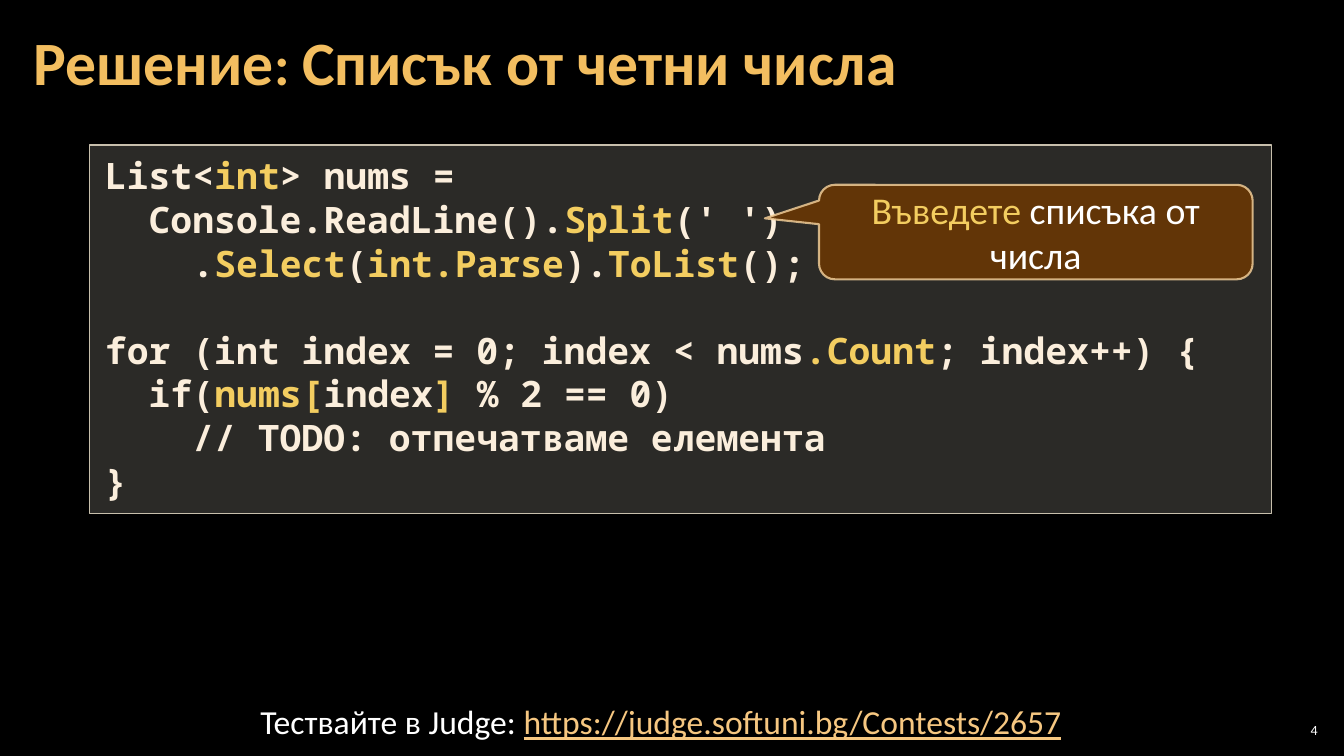
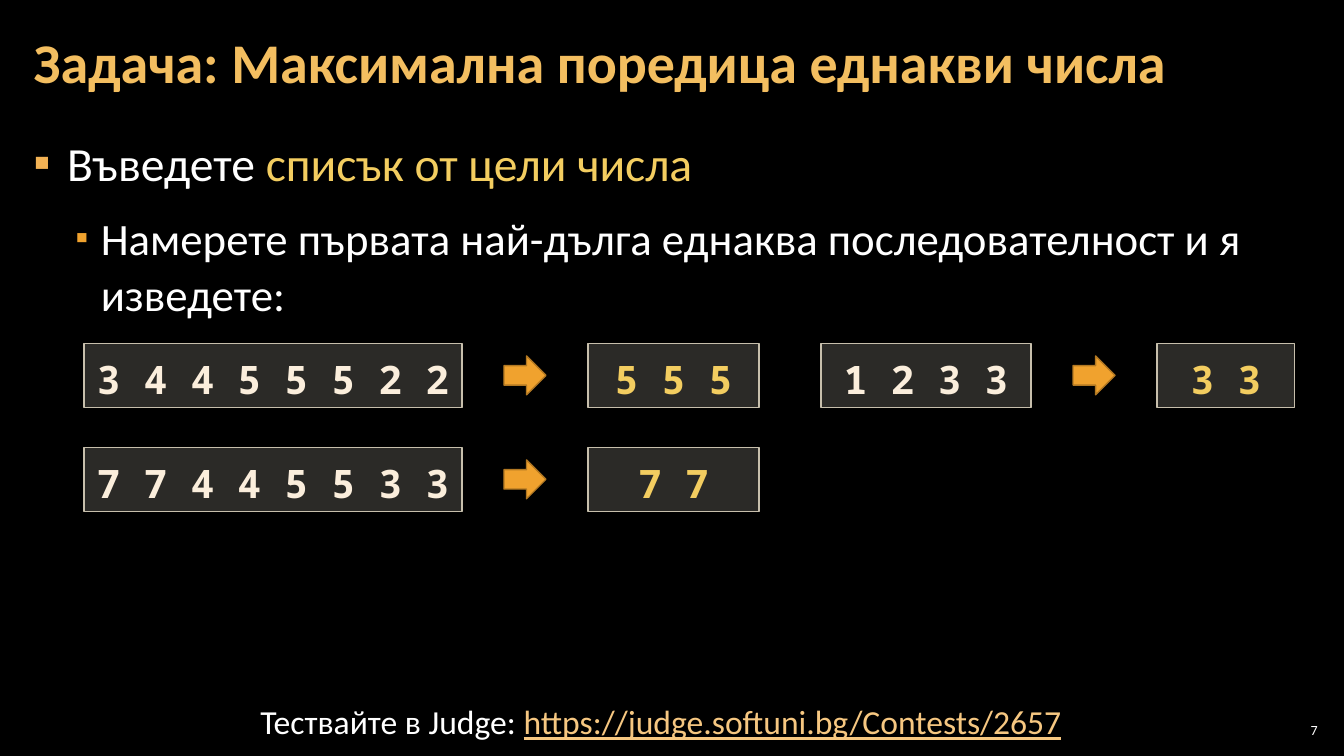
from dataclasses import dataclass
from typing import NamedTuple, Optional

from lxml.etree import SubElement
from pptx import Presentation
from pptx.dml.color import RGBColor
from pptx.enum.shapes import MSO_SHAPE
from pptx.enum.text import MSO_ANCHOR, MSO_AUTO_SIZE, PP_ALIGN
from pptx.oxml.ns import qn
from pptx.util import Emu, Pt

PX = 9525  # 96 px to the inch


@dataclass(frozen=True)
class Theme:
    background: str = "000000"
    title: str = "F3BE60"
    text: str = "FFFFFF"
    accent: str = "F3CD60"
    code: str = "FBEEDC"
    panel: str = "D9D5C7"
    panel_line: str = "C7BFAC"
    callout: str = "663606"
    callout_line: str = "F8D49E"
    arrow: str = "F0A22E"
    arrow_line: str = "B27822"
    bullet: str = "F2B254"
    link: str = "F6C781"
    font: str = "Calibri"
    code_font: str = "Noto Sans Mono"
    title_size: int = 40
    large_title_size: int = 44
    code_size: int = 26
    code_line: int = 31
    value_size: int = 28
    callout_size: int = 27
    bullet_size: int = 34
    sub_bullet_size: int = 32
    footer_size: int = 24
    number_size: int = 10


THEME = Theme()


class Box(NamedTuple):
    left: int
    top: int
    width: int
    height: int

    def emu(self) -> list[Emu]:
        return [Emu(value * PX) for value in self]


class Run(NamedTuple):
    text: str
    color: str
    size: int
    font: str = THEME.font
    bold: bool = False
    underline: bool = False


class Bullet(NamedTuple):
    runs: list[Run]
    indent: int
    hanging: int
    color: str
    percent: int


class Example(NamedTuple):
    left: int
    top: int
    input_width: int
    output_width: int
    numbers: str
    answer: str


SLIDE_WIDTH, SLIDE_HEIGHT = 1280, 720
TITLE_INSETS = (12, 4)
VALUE_HEIGHT = 61
ARROW_WIDTH, ARROW_HEIGHT = 40, 37
GAP = 40
ROW_TOP, ROW_PITCH = 327, 99

# Pieces of a line alternate between plain and accent colour.
CODE_LINES = [
    ("List<", "int", "> nums ="),
    ("  Console.ReadLine().", "Split", "(' ')"),
    ("    .", "Select", "(", "int.Parse", ").", "ToList", "();"),
    ("for (int index = 0; index < nums", ".Count", "; index++) {"),
    ("  if(", "nums[", "index", "]", " % 2 == 0)"),
    ("    // TODO: отпечатваме елемента",),
    ("}",),
]
LINE_AFTER_GAP = 3

EXAMPLES = [
    Example(80, ROW_TOP, 360, 163, "3 4 4 5 5 5 2 2", "5 5 5"),
    Example(80, ROW_TOP + ROW_PITCH, 360, 163, "7 7 4 4 5 5 3 3", "7 7"),
    Example(782, ROW_TOP, 200, 131, "1 2 3 3", "3 3"),
]


def alternate(pieces, plain: str, size: int, font: str = THEME.font, bold: bool = False) -> list[Run]:
    """Colour every second piece with the accent."""
    return [Run(piece, (plain, THEME.accent)[index % 2], size, font, bold)
            for index, piece in enumerate(pieces)]


def add_runs(paragraph, runs: list[Run]) -> None:
    for item in runs:
        run = paragraph.add_run()
        run.text = item.text
        run.font.name = item.font
        run.font.size = Pt(item.size)
        run.font.bold = item.bold
        run.font.underline = item.underline
        run.font.color.rgb = RGBColor.from_string(item.color)


def set_frame(shape, insets=(10, 5), anchor=MSO_ANCHOR.TOP, grow: bool = False):
    frame = shape.text_frame
    frame.word_wrap = True
    frame.auto_size = MSO_AUTO_SIZE.SHAPE_TO_FIT_TEXT if grow else MSO_AUTO_SIZE.NONE
    frame.vertical_anchor = anchor
    frame.margin_left = frame.margin_right = Emu(insets[0] * PX)
    frame.margin_top = frame.margin_bottom = Emu(insets[1] * PX)
    return frame


def set_color(fill, color: str, opacity: int = 100) -> None:
    fill.solid()
    fill.fore_color.rgb = RGBColor.from_string(color)
    if opacity < 100:
        element = fill._xPr.find(qn("a:solidFill"))[0]
        SubElement(element, qn("a:alpha"), val=str(opacity * 1000))


def add_figure(slide, kind, box: Box, fill: str, line: str, opacity: int = 100,
               line_width: float = 1, line_opacity: int = 100):
    shape = slide.shapes.add_shape(kind, *box.emu())
    shape.shadow.inherit = False
    set_color(shape.fill, fill, opacity)
    set_color(shape.line.fill, line, line_opacity)
    shape.line.width = Pt(line_width)
    return shape


def add_panel(slide, box: Box):
    return add_figure(slide, MSO_SHAPE.RECTANGLE, box, THEME.panel, THEME.panel_line, opacity=20)


def add_text(slide, box: Box, runs: list[Run], align=PP_ALIGN.LEFT, **frame_options) -> None:
    frame = set_frame(slide.shapes.add_textbox(*box.emu()), **frame_options)
    frame.paragraphs[0].alignment = align
    add_runs(frame.paragraphs[0], runs)


def add_base_slide(presentation, title: list[tuple[str, int]], title_width: int, number: int):
    """Add a slide with its title, page number and judge link."""
    slide = presentation.slides.add_slide(presentation.slide_layouts[5])
    shape = slide.shapes.title
    shape.left, shape.top, shape.width, shape.height = Box(20, 4, title_width, 116).emu()
    paragraph = set_frame(shape, TITLE_INSETS, MSO_ANCHOR.MIDDLE).paragraphs[0]
    paragraph.alignment = PP_ALIGN.LEFT
    paragraph.line_spacing = 0.9
    add_runs(paragraph, [Run(text, THEME.title, size, bold=True) for text, size in title])
    add_text(slide, Box(1214, 685, 45, 20), [Run(str(number), THEME.text, THEME.number_size)],
             PP_ALIGN.RIGHT, insets=(4, 4), anchor=MSO_ANCHOR.MIDDLE)
    add_text(slide, Box(238, 663, 803, 48), [
        Run("Тествайте в Judge: ", THEME.text, THEME.footer_size),
        Run("https://judge.softuni.bg/Contests/2657", THEME.link, THEME.footer_size, underline=True),
    ])
    return slide


def next_paragraph(frame, index: int):
    return frame.add_paragraph() if index else frame.paragraphs[0]


def add_code(slide, box: Box) -> None:
    frame = set_frame(add_panel(slide, box), (15, 8), grow=True)
    for index, pieces in enumerate(CODE_LINES):
        paragraph = next_paragraph(frame, index)
        paragraph.alignment = PP_ALIGN.LEFT
        if index == LINE_AFTER_GAP:
            paragraph.space_before = Pt(THEME.code_line)
        add_runs(paragraph, alternate(pieces, THEME.code, THEME.code_size, THEME.code_font, True))


def add_callout(slide, box: Box, pieces: tuple[str, ...]) -> None:
    shape = add_figure(slide, MSO_SHAPE.ROUNDED_RECTANGULAR_CALLOUT, box, THEME.callout,
                       THEME.callout_line, opacity=95, line_width=1.5, line_opacity=80)
    for index, value in enumerate((-0.625, -0.145, 0.167)):
        shape.adjustments[index] = round(value, 3)
    paragraph = set_frame(shape, anchor=MSO_ANCHOR.MIDDLE).paragraphs[0]
    paragraph.alignment = PP_ALIGN.CENTER
    add_runs(paragraph, alternate(pieces, THEME.text, THEME.callout_size))


def add_bullets(slide, box: Box, bullets: list[Bullet]) -> None:
    frame = set_frame(slide.shapes.add_textbox(*box.emu()), TITLE_INSETS)
    for index, bullet in enumerate(bullets):
        paragraph = next_paragraph(frame, index)
        paragraph.level = index
        paragraph.line_spacing = 1.05
        paragraph.space_after = Pt(6)
        if index:
            paragraph.space_before = Pt(6)
        properties = paragraph._p.get_or_add_pPr()
        properties.set("marL", str(bullet.indent * PX))
        properties.set("indent", str(-bullet.hanging * PX))
        color = SubElement(properties, qn("a:buClr"))
        SubElement(color, qn("a:srgbClr"), val=bullet.color)
        SubElement(properties, qn("a:buSzPct"), val=str(bullet.percent * 1000))
        SubElement(properties, qn("a:buFont"), typeface=THEME.font)
        SubElement(properties, qn("a:buChar"), char="▪")
        add_runs(paragraph, bullet.runs)


def add_value(slide, box: Box, text: str, color: str) -> None:
    paragraph = set_frame(add_panel(slide, box), grow=True).paragraphs[0]
    paragraph.alignment = PP_ALIGN.CENTER
    paragraph.line_spacing = 1.15
    add_runs(paragraph, [Run(text, color, THEME.value_size, THEME.code_font, True)])


def add_example(slide, example: Example) -> None:
    """Draw the input, an arrow and the answer with equal gaps."""
    left, top = example.left, example.top
    arrow_left = left + example.input_width + GAP
    answer_left = arrow_left + ARROW_WIDTH + GAP
    arrow_top = top + (VALUE_HEIGHT - ARROW_HEIGHT) // 2
    add_value(slide, Box(left, top, example.input_width, VALUE_HEIGHT), example.numbers, THEME.code)
    add_figure(slide, MSO_SHAPE.RIGHT_ARROW, Box(arrow_left, arrow_top, ARROW_WIDTH, ARROW_HEIGHT),
               THEME.arrow, THEME.arrow_line)
    add_value(slide, Box(answer_left, top, example.output_width, VALUE_HEIGHT),
              example.answer, THEME.accent)


def build_solution(presentation) -> None:
    large = THEME.large_title_size
    title = [("Решение", large), (": ", THEME.title_size), ("Списък от четни числа", large)]
    slide = add_base_slide(presentation, title, 1020, 4)
    add_code(slide, Box(85, 138, 1126, 351))
    add_callout(slide, Box(780, 176, 413, 90), ("", "Въведете ", "списъка от числа")[1 - 1:])


def build_problem(presentation) -> None:
    title = [("Задача: Максимална поредица еднакви числа", THEME.title_size)]
    slide = add_base_slide(presentation, title, 1239, 7)
    task = "Намерете първата най-дълга еднаква последователност и я изведете:"
    add_bullets(slide, Box(20, 121, 1239, 585), [
        Bullet(alternate(("Въведете ", "списък от цели числа"), THEME.text, THEME.bullet_size),
               32, 32, THEME.bullet, 100),
        Bullet([Run(task, THEME.text, THEME.sub_bullet_size)], 64, 24, THEME.arrow, 80),
    ])
    for example in EXAMPLES:
        add_example(slide, example)


def main() -> None:
    presentation = Presentation()
    presentation.slide_width = Emu(SLIDE_WIDTH * PX)
    presentation.slide_height = Emu(SLIDE_HEIGHT * PX)
    set_color(presentation.slide_master.background.fill, THEME.background)
    build_solution(presentation)
    build_problem(presentation)
    presentation.save("out.pptx")


if __name__ == "__main__":
    main()
